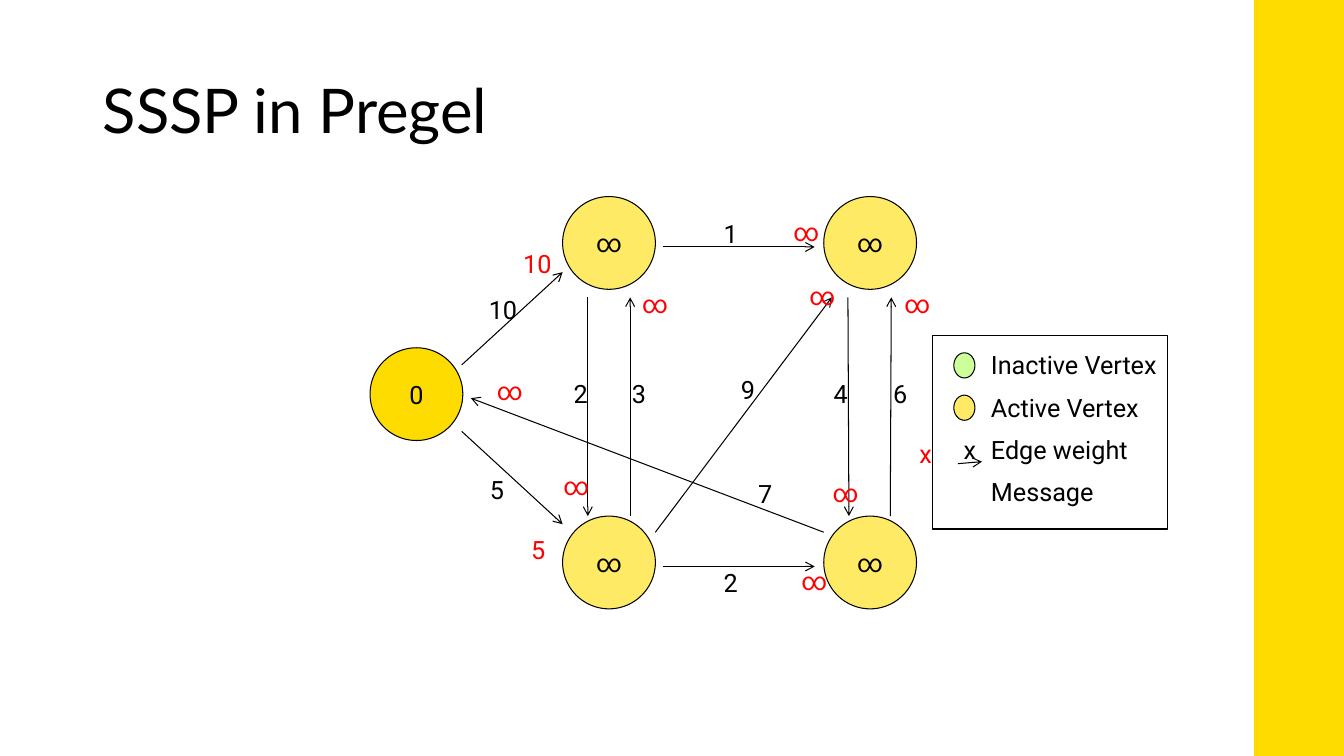
from pptx import Presentation
from pptx.dml.color import RGBColor
from pptx.enum.shapes import MSO_CONNECTOR, MSO_SHAPE
from pptx.enum.text import MSO_ANCHOR, PP_ALIGN
from pptx.oxml.ns import qn
from pptx.util import Inches, Pt
from lxml import etree

OVAL, RECT = MSO_SHAPE.OVAL, MSO_SHAPE.RECTANGLE
LINE = MSO_CONNECTOR.STRAIGHT
MIDDLE, TOP = MSO_ANCHOR.MIDDLE, MSO_ANCHOR.TOP
LEFT, CENTER = PP_ALIGN.LEFT, PP_ALIGN.CENTER

BLACK = RGBColor(0x00, 0x00, 0x00)
RED = RGBColor(0xFF, 0x00, 0x00)
GOLD = RGBColor(0xFF, 0xDC, 0x00)
YELLOW = RGBColor(0xFF, 0xEA, 0x66)
GREEN = RGBColor(0xCC, 0xFF, 0x99)

TITLE = "SSSP in Pregel"
DIAM = 0.92
ROWS = (1.95, 5.12)
COLS = (5.58, 8.17)
SOURCE = (3.67, 3.45)

EDGES = [
    (4.58, 4.28, 5.58, 5.2),
    (4.58, 3.62, 5.58, 2.7),
    (6.58, 5.62, 8.08, 5.62),
    (6.58, 2.45, 8.08, 2.45),
    (6.5, 5.28, 8.25, 2.95),
    (8.17, 5.28, 4.67, 3.95),
    (6.25, 5.12, 6.25, 2.95),
    (5.83, 2.95, 5.83, 5.12),
    (8.83, 5.12, 8.84, 2.95),
    (8.41, 2.95, 8.42, 5.12),
]
WEIGHTS = [
    ("10", 4.75, 2.87), ("5", 4.76, 4.66), ("2", 5.59, 3.7),
    ("3", 6.17, 3.7), ("2", 7.08, 5.58), ("1", 7.08, 2.12),
    ("9", 7.25, 3.66), ("7", 7.42, 4.7), ("4", 8.17, 3.7),
    ("6", 8.76, 3.7),
]
COSTS = [("10", 5.09, 2.41), ("5", 5.17, 5.25)]
INFINITE = [
    (4.83, 3.67), (5.49, 4.62), (6.27, 2.81), (7.77, 2.1),
    (7.85, 5.56), (7.93, 2.73), (8.16, 4.69), (8.87, 2.81),
]
LEGEND = ["Inactive Vertex", "Active Vertex", "Edge weight", "Message"]
KEY_TOP, KEY_STEP = 3.42, 0.42

deck = Presentation()
deck.slide_width, deck.slide_height = Inches(13.33), Inches(7.5)
slide = deck.slides.add_slide(deck.slide_layouts[6])
shapes = slide.shapes


def write(shape, text, size=18, font="Roboto", color=BLACK, align=LEFT,
          anchor=TOP, wrap=True):
    frame = shape.text_frame
    frame.word_wrap = wrap
    frame.vertical_anchor = anchor
    para = frame.paragraphs[0]
    para.text = text
    para.alignment = align
    para.font.size = Pt(size)
    para.font.name = font
    para.font.color.rgb = color
    return para


def label(text, x, y, width, height=0.4, **style):
    box = shapes.add_textbox(*map(Inches, (x, y, width, height)))
    return write(box, text, **style)


def draw(kind, x, y, width, height, fill=None, line=0.75):
    shape = shapes.add_shape(kind, *map(Inches, (x, y, width, height)))
    shape.shadow.inherit = False
    if fill is None:
        shape.fill.background()
    else:
        shape.fill.solid()
        shape.fill.fore_color.rgb = fill
    if line:
        shape.line.color.rgb = BLACK
        shape.line.width = Pt(line)
    else:
        shape.line.fill.background()
    return shape


def vertex(x, y, text, fill):
    write(draw(OVAL, x, y, DIAM, DIAM, fill), text, align=CENTER,
          anchor=MIDDLE)


def arrow(*ends):
    edge = shapes.add_connector(LINE, *map(Inches, ends))
    edge.line.color.rgb = BLACK
    edge.line.width = Pt(0.75)
    etree.SubElement(edge.line._get_or_add_ln(), qn("a:tailEnd"), type="arrow")
    etree.SubElement(edge._element.spPr, qn("a:effectLst"))


draw(RECT, 12.44, 0, 0.9, 7.5, GOLD, line=0)
label(TITLE, 0.92, 0.4, 11.5, 1.45, size=44, font="Lato",
      anchor=MIDDLE).line_spacing = 0.9

vertex(*SOURCE, "0", GOLD)
for x in COLS:
    for y in ROWS:
        vertex(x, y, "∞", YELLOW)
for ends in EDGES:
    arrow(*ends)

for group, color in ((WEIGHTS, BLACK), (COSTS, RED)):
    for text, x, y in group:
        label(text, x, y, 0.19 + 0.15 * len(text), color=color, wrap=False)
for x, y in INFINITE:
    label("∞", x, y, 0.38, color=RED, align=CENTER, wrap=False)

draw(RECT, 9.25, 3.33, 2.33, 1.92, line=1)
for row, text in enumerate(LEGEND):
    label(text, 9.73, KEY_TOP + row * KEY_STEP, 2.29)
for row, fill in enumerate((GREEN, YELLOW)):
    draw(OVAL, 9.46, KEY_TOP + 0.08 + row * KEY_STEP, 0.21, 0.25, fill)
label("x", 9.46, 4.26, 0.33, wrap=False)
label("x", 9.02, 4.3, 0.41, color=RED)
arrow(9.5, 4.6, 9.74, 4.58)

deck.save("out.pptx")
